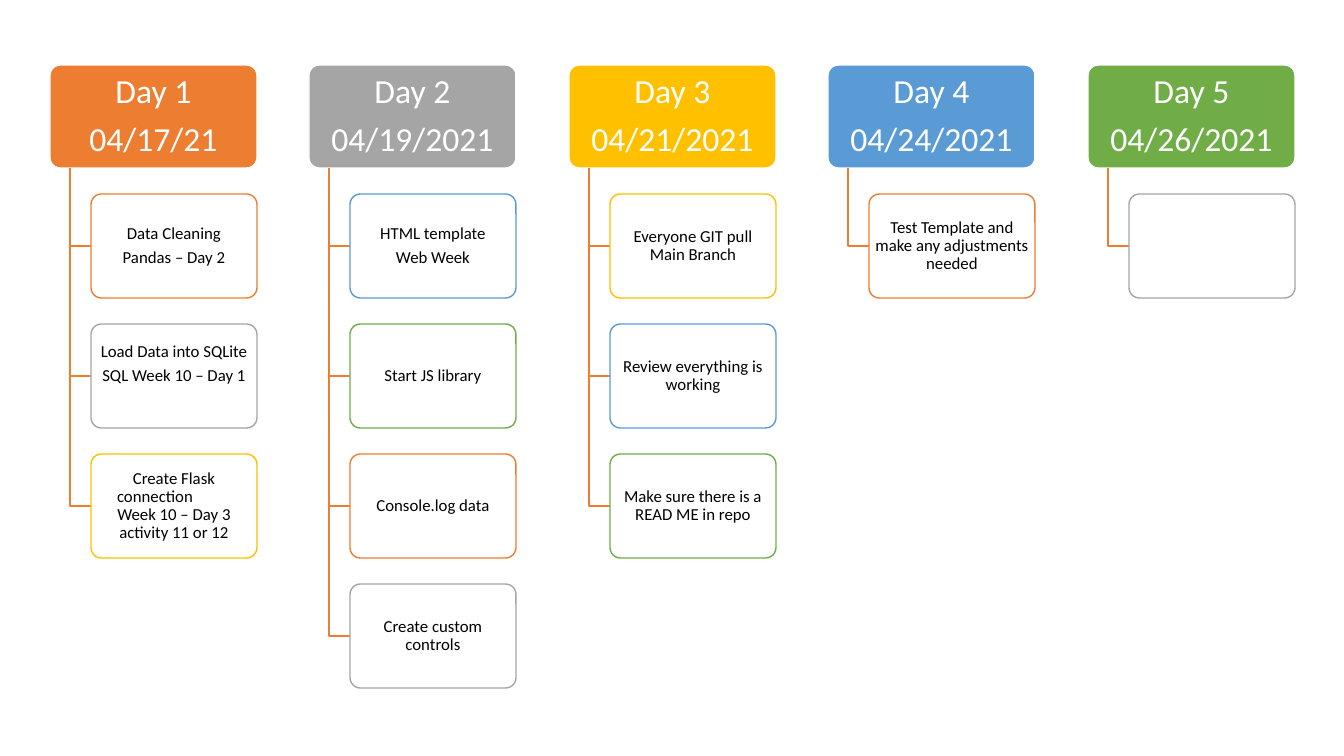
"""Build a five-day project plan with a header and task cards for each day."""
from lxml import etree
from pptx import Presentation
from pptx.dml.color import RGBColor
from pptx.enum import shapes, text
from pptx.oxml.ns import qn
from pptx.util import Pt

PX = 12192000 / 1344
COLORS = {"orange": "ED7D31", "gray": "A5A5A5", "gold": "FFC000",
          "blue": "5B9BD5", "green": "70AD47", "white": "FFFFFF", "black": "000000"}
DAYS = [
    ("orange", "04/17/21", [
        ("orange", ["Data Cleaning", "Pandas – Day 2"]),
        ("gray", ["Load Data into SQLite", "SQL Week 10 – Day 1"]),
        ("gold", ["Create Flask", "connection", "Week 10 – Day 3\vactivity 11 or 12"])]),
    ("gray", "04/19/2021", [
        ("blue", ["HTML template", "Web Week"]),
        ("green", ["Start JS library"]),
        ("orange", ["Console.log data"]),
        ("gray", ["Create custom controls"])]),
    ("gold", "04/21/2021", [
        ("gold", ["Everyone GIT pull Main Branch"]),
        ("blue", ["Review everything is working"]),
        ("green", ["Make sure there is a READ ME in repo"])]),
    ("blue", "04/24/2021", [
        ("orange", ["Test Template and make any adjustments needed"])]),
    ("green", "04/26/2021", [("gray", [])]),
]
HEADER_TOP, HEADER_W, HEADER_H = 65, 207, 103
CARD_TOP, CARD_W, CARD_H, ROW_PITCH = 194, 166, 104, 130
LEFT, SPINE_INDENT, CARD_INDENT = 50, 20, 41


def px(length):
    return round(length * PX)


def add_box(left, top, width, height, fill, line, lines, size, color, insets):
    box = slide.shapes.add_shape(shapes.MSO_SHAPE.ROUNDED_RECTANGLE,
                                 px(left), px(top), px(width), px(height))
    box.adjustments[0] = 0.1
    box.shadow.inherit = False
    box.fill.solid()
    box.fill.fore_color.rgb = RGBColor.from_string(COLORS[fill])
    box.line.color.rgb = RGBColor.from_string(COLORS[line])
    box.line.width = Pt(1)
    frame = box.text_frame
    frame.word_wrap = True
    frame.vertical_anchor = text.MSO_ANCHOR.MIDDLE
    frame.margin_left = frame.margin_right = px(insets[0])
    frame.margin_top = frame.margin_bottom = px(insets[1])
    frame.text = "\n".join(lines)
    for paragraph in frame.paragraphs:
        paragraph.alignment = text.PP_ALIGN.CENTER
        paragraph.line_spacing = 0.9
        paragraph.space_after = Pt(size * 0.35)
        paragraph.font.size = Pt(size)
        paragraph.font.name = "Calibri"
        paragraph.font.color.rgb = RGBColor.from_string(COLORS[color])
    return box


deck = Presentation()
deck.slide_width, deck.slide_height = px(1344), px(756)
slide = deck.slides.add_slide(deck.slide_layouts[6])

task_frames = {}
for day, (day_color, date, tasks) in enumerate(DAYS):
    left = LEFT + day * 519 // 2
    add_box(left, HEADER_TOP, HEADER_W, HEADER_H, day_color, "white",
            [f"Day {day + 1}", date], 24, "white", (5, 3))
    for row, (task_color, lines) in enumerate(tasks):
        top = CARD_TOP + row * ROW_PITCH
        spine, middle = px(left + SPINE_INDENT), px(top + CARD_H // 2)
        branch = slide.shapes.build_freeform(spine, px(HEADER_TOP + HEADER_H))
        branch.add_line_segments([(spine, middle), (px(left + CARD_INDENT), middle)], close=False)
        elbow = branch.convert_to_shape()
        elbow.shadow.inherit = False
        elbow.fill.background()
        elbow.line.color.rgb = RGBColor.from_string(COLORS["orange"])
        elbow.line.width = Pt(1)

        card = add_box(left + CARD_INDENT, top, CARD_W, CARD_H, "white", task_color,
                       lines, 12, "black", (3, 2))
        white = card.fill._xPr.find(qn("a:solidFill"))[0]
        etree.SubElement(white, qn("a:alpha")).set("val", "90000")
        if lines:
            task_frames[lines[0]] = card.text_frame

task_frames["Load Data into SQLite"].margin_bottom = px(26)

flask, connection, week = task_frames["Create Flask"].paragraphs
flask.space_after = connection.space_after = Pt(0)
connection.alignment = text.PP_ALIGN.LEFT
connection._p.get_or_add_pPr().set("marL", str(px(20)))

deck.save("out.pptx")
